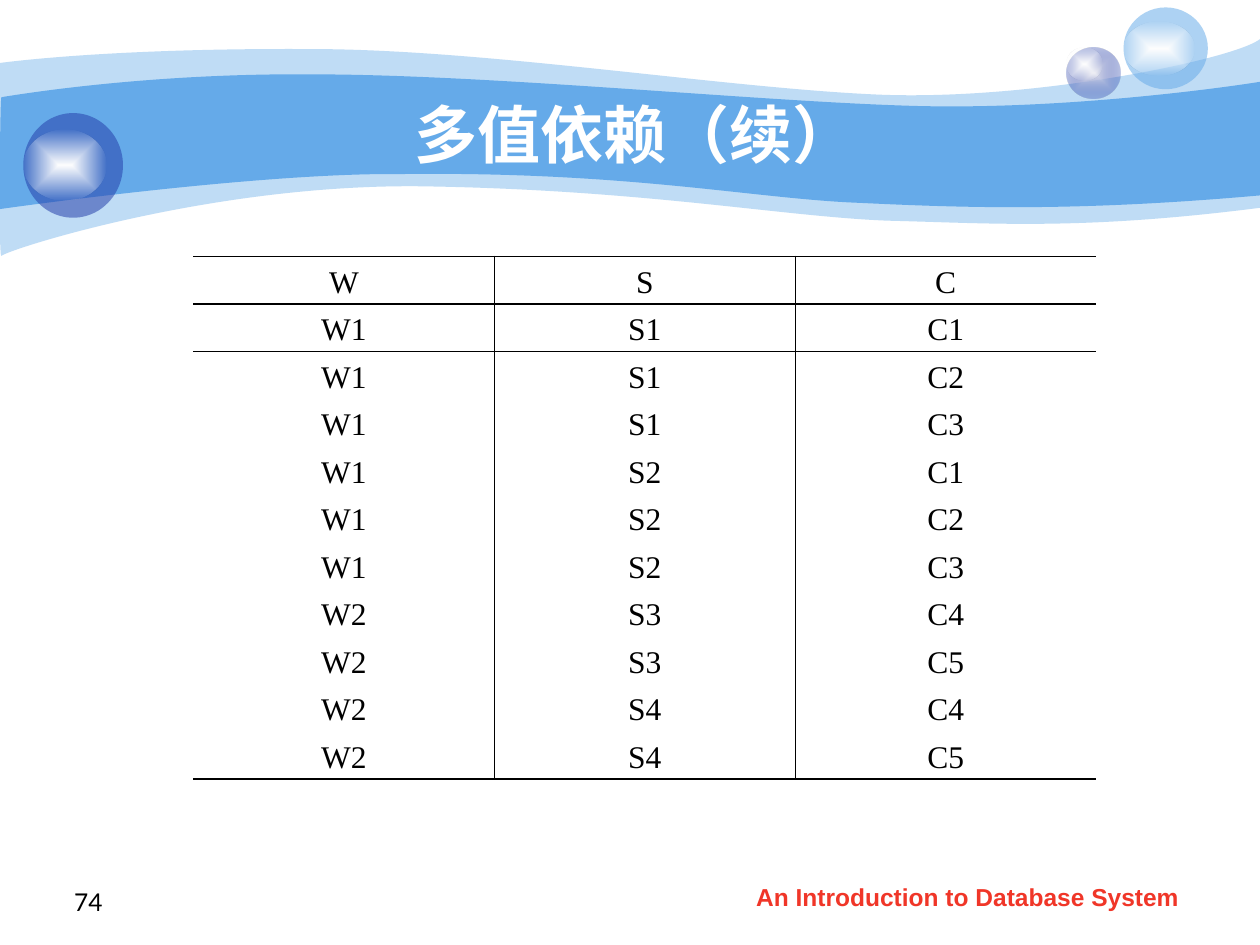
from lxml.etree import SubElement
from pptx import Presentation
from pptx.dml.color import RGBColor
from pptx.enum.shapes import MSO_SHAPE as Preset
from pptx.enum.text import MSO_ANCHOR as Anchor, PP_ALIGN as Align
from pptx.oxml.ns import qn
from pptx.util import Cm, Pt

COLORS = {"sky": "65AAE9", "navy": "233DA9", "mist": "E1E2ED",
          "white": "FFFFFF", "black": "000000", "red": "F03628"}
PLAIN_TABLE = "{2D5ABB26-0587-4C30-8999-92F81FD0307C}"

# Each band: start, then curves (three points) and lines (one), cm in the box
PALE_BAND = ((0, 1.27), [
    [(0.61, 1.19), (2.72, 0.97), (6.27, 0.99)],
    [(9.8, 0.99), (14.61, 1.78), (17.75, 1.91)],
    [(20.88, 2.03), (24.89, 1.19), (25.4, 0.79)],
    [(25.4, 4.19)],
    [(21.79, 4.65), (19.99, 4.5), (17.91, 4.45)],
    [(15.8, 4.37), (13.08, 3.84), (8.71, 3.76)],
    [(4.37, 3.66), (0.1, 5.05), (0.03, 5.16)],
    [(-0.03, 5.28), (0, 1.91), (0, 1.27)]])
BRIGHT_BAND = ((0.03, 1.96), [
    [(0.05, 1.96), (2.79, 1.47), (6.3, 1.5)],
    [(9.8, 1.5), (15.11, 2.03), (18.24, 2.13)],
    [(21.36, 2.24), (24.79, 1.75), (25.4, 1.65)],
    [(25.4, 3.94)],
    [(21.67, 4.27), (19.43, 4.19), (17.32, 4.09)],
    [(15.21, 4.01), (12.67, 3.45), (8.05, 3.51)],
    [(5.16, 3.48), (-0.05, 4.22), (-0.03, 4.22)],
    [(0, 4.22), (0, 1.96), (0.03, 1.96)]])

HEADER = ("W", "S", "C")
# Within each W, every S is paired with every C
GROUPS = [("W1", ("S1", "S2"), ("C1", "C2", "C3")),
          ("W2", ("S3", "S4"), ("C4", "C5"))]
ROWS = [HEADER] + [(w, s, c) for w, s_values, c_values in GROUPS
                   for s in s_values for c in c_values]


def rgb(name):
    return RGBColor.from_string(COLORS[name])


def add_color(parent, name, alpha=100):
    color = SubElement(parent, qn("a:srgbClr"), val=COLORS[name])
    if alpha < 100:
        SubElement(color, qn("a:alpha"), val=str(alpha * 1000))


def paint(shape, name, alpha=100):
    """Flat fill without line or shadow."""
    shape.shadow.inherit = False
    shape.line.fill.background()
    shape.fill.solid()
    shape.fill.fore_color.rgb = rgb(name)
    if alpha < 100:
        color = shape.element.spPr.find(qn("a:solidFill"))[0]
        SubElement(color, qn("a:alpha"), val=str(alpha * 1000))


def paint_glow(shape, inner, outer, outer_alpha):
    """Gradient from the centre to the outline."""
    paint(shape, inner)
    solid = shape.element.spPr.find(qn("a:solidFill"))
    glow = solid.makeelement(qn("a:gradFill"), {"rotWithShape": "1"})
    stops = SubElement(glow, qn("a:gsLst"))
    add_color(SubElement(stops, qn("a:gs"), pos="0"), inner)
    add_color(SubElement(stops, qn("a:gs"), pos="100000"), outer, outer_alpha)
    route = SubElement(glow, qn("a:path"), path="shape")
    SubElement(route, qn("a:fillToRect"),
               {side: "50000" for side in ("l", "t", "r", "b")})
    solid.getparent().replace(solid, glow)


def add_band(page, left, top, outline, alpha):
    start, segments = outline
    points = [start] + [point for segment in segments for point in segment]
    spots = [(Cm(left + x), Cm(top + y)) for x, y in points]
    builder = page.shapes.build_freeform(*spots[0])
    builder.add_line_segments(spots[1:], close=True)
    band = builder.convert_to_shape()
    paint(band, "sky", alpha)

    # Join each run of three line points into one Bézier curve
    lines = iter(band.element.findall(".//" + qn("a:lnTo")))
    for segment in segments:
        steps = [next(lines) for _ in segment]
        if len(steps) == 3:
            curve = steps[0].makeelement(qn("a:cubicBezTo"), {})
            steps[0].addprevious(curve)
            for step in steps:
                curve.append(step[0])
                step.getparent().remove(step)


def add_bubble(page, left, top, width, height, shine):
    """A ball with a highlight; shine is the highlight's box within the ball."""
    group = page.shapes.add_group_shape()
    ball = group.shapes.add_shape(Preset.OVAL, Cm(left), Cm(top), Cm(width), Cm(height))
    dx, dy, shine_width, shine_height = shine
    light = group.shapes.add_shape(Preset.OVAL, Cm(left + dx), Cm(top + dy),
                                   Cm(shine_width), Cm(shine_height))
    paint_glow(light, "white", "white", 0)
    return ball


def add_banner(page, left, top):
    add_band(page, left, top, PALE_BAND, 41)
    add_band(page, left, top, BRIGHT_BAND, 100)
    small = add_bubble(page, left + 21.5, top + 0.95, 1.08, 1.03, (0, 0, 0.72, 0.68))
    paint_glow(small, "mist", "navy", 31)
    pale = add_bubble(page, left + 22.65, top + 0.15, 1.7, 1.65, (0, 0.28, 1.42, 1.09))
    paint(pale, "sky", 53)
    dark = add_bubble(page, left + 0.47, top + 2.28, 2.01, 2.11, (0, 0.34, 1.68, 1.42))
    paint(dark, "navy", 53)


def format_text(shape, text, size, face, color, align, anchor, bold=False):
    frame = shape.text_frame
    frame.word_wrap = True
    frame.vertical_anchor = anchor
    para = frame.paragraphs[0]
    para.text = text
    para.alignment = align
    para.font.size = Pt(size)
    para.font.name = face
    para.font.bold = bold
    para.font.color.rgb = rgb(color)


def place_title(page, left, top, width, height):
    title = page.shapes.title
    title.left, title.top, title.width, title.height = map(Cm, (left, top, width, height))
    format_text(title, "多值依赖（续）", 36, "Arial", "white", Align.CENTER, Anchor.MIDDLE, True)
    page.shapes.element.append(title.element)  # bring above the banner


def add_footer(page, left, top, width, height):
    source_width = 10
    source = page.shapes.add_textbox(Cm(left + width - source_width), Cm(top + 0.41),
                                     Cm(source_width), Cm(0.89))
    format_text(source, "An Introduction to Database System", 14, "Arial", "red",
                Align.CENTER, Anchor.TOP, True)
    source.text_frame.margin_top = Cm(0.05)
    number = page.shapes.add_textbox(Cm(left), Cm(top), Cm(1.63), Cm(height))
    format_text(number, "74", 14, "Lato", "black", Align.RIGHT, Anchor.BOTTOM)


def set_borders(cell, sides):
    props = cell._tc.get_or_add_tcPr()
    lines = []
    for tag, shown in sides.items():
        if shown:
            line = props.makeelement(qn("a:" + tag), {"w": str(Pt(1))})
            add_color(SubElement(line, qn("a:solidFill")), "black")
            lines.append(line)
    props[:0] = lines  # borders come before the fill


def add_relation(page, left, top, width, height):
    last_row, last_col = len(ROWS) - 1, len(HEADER) - 1
    frame = page.shapes.add_table(len(ROWS), len(HEADER), Cm(left), Cm(top),
                                  Cm(width), Cm(height))
    table = frame.table
    table.first_row = table.horz_banding = False
    frame.element.find(".//" + qn("a:tableStyleId")).text = PLAIN_TABLE
    for r, values in enumerate(ROWS):
        for c, value in enumerate(values):
            cell = table.cell(r, c)
            cell.fill.background()
            cell.margin_top, cell.margin_bottom = Cm(0.17), Cm(0.08)
            format_text(cell, value, 18, "Times New Roman", "black",
                        Align.CENTER, Anchor.MIDDLE)
            set_borders(cell, {"lnL": c > 0, "lnR": c < last_col,
                               "lnT": r < 2, "lnB": r in (0, last_row)})


def main():
    deck = Presentation()
    deck.slide_width, deck.slide_height = Cm(25.4), Cm(19.05)
    page = deck.slides.add_slide(deck.slide_layouts[5])
    add_banner(page, 0, 0)
    add_footer(page, 0.69, 17.32, 23.82, 1.27)
    place_title(page, 2.54, 1.9, 20.52, 1.58)
    add_relation(page, 3.9, 5.17, 18.2, 10.54)
    deck.save("out.pptx")


if __name__ == "__main__":
    main()
